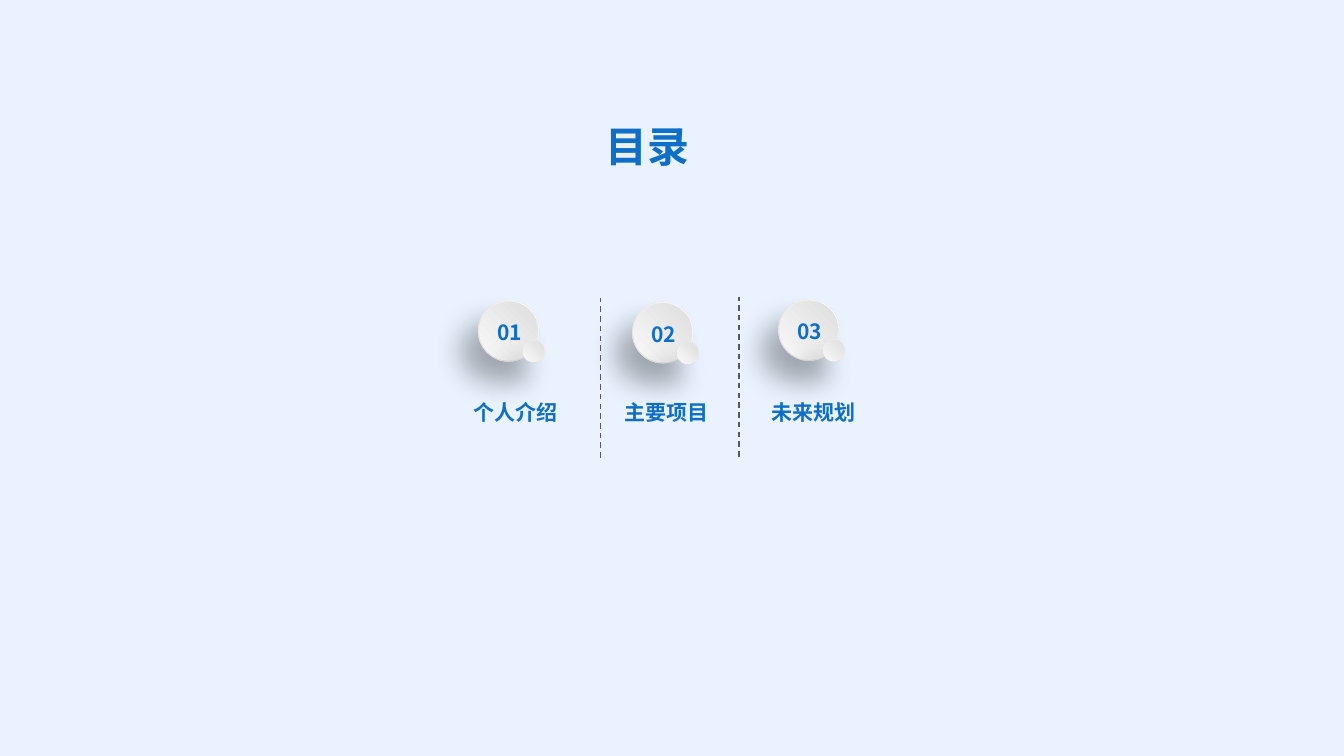
"""Build a contents slide with three numbered badges, on a grid of 160 columns by 90 rows."""
import dataclasses

import pptx
import pptx.dml.color
import pptx.enum.dml
import pptx.enum.shapes
import pptx.enum.text
import pptx.oxml
import pptx.oxml.ns
import pptx.util

COLUMNS, ROWS = 160, 90
FONT = "Noto Sans CJK SC"
BLUE, GREY, PALE = "0F6FC6", "595959", "E9F2FE"
RIM, FACE = ("FFFFFF", "D9D9D9"), ("D9D9D9", "FEFEFE")
NAMESPACE = pptx.oxml.ns.nsdecls("a")
CORNER_GLOW = f'<a:path {NAMESPACE} path="circle"><a:fillToRect l="100000" b="100000"/></a:path>'
SOFT_SHADOW = (
    f'<a:outerShdw {NAMESPACE} blurRad="254000" dist="241300" dir="7800000" rotWithShape="0">'
    '<a:srgbClr val="000000"><a:alpha val="30000"/></a:srgbClr></a:outerShdw>'
)


@dataclasses.dataclass(frozen=True)
class Area:
    """A rectangle in grid columns and rows."""

    column: float
    row: float
    width: float
    height: float

    def lengths(self) -> tuple:
        """Return left, top, width and height for a shape."""
        return grid(self.column), grid(self.row), grid(self.width), grid(self.height)


@dataclasses.dataclass(frozen=True)
class Chapter:
    """One entry of the contents."""

    number: str
    name: str
    column: float
    row: float
    label_column: float
    label_width: float


CHAPTERS = (
    Chapter("01", "个人介绍", 56.9, 35.75, 55.2, 19.4),
    Chapter("02", "主要项目", 75.25, 35.95, 73.2, 13.2),
    Chapter("03", "未来规划", 92.65, 35.65, 90.7, 19.4),
)
DIVIDERS = ((71.5, 54.5), (88, 54.35))


def grid(cells: float) -> int:
    """Convert grid cells to a length."""
    return pptx.util.Inches(cells / 12)


def colour(code: str) -> pptx.dml.color.RGBColor:
    """Convert a hex string to a colour."""
    return pptx.dml.color.RGBColor.from_string(code)


def write(box, text: str, size: int, centred: bool = False) -> None:
    """Put one bold blue line in a box."""
    frame = box.text_frame
    frame.text = text
    frame.word_wrap = True
    frame.auto_size = pptx.enum.text.MSO_AUTO_SIZE.NONE
    frame.vertical_anchor = pptx.enum.text.MSO_ANCHOR.TOP
    para = frame.paragraphs[0]
    alignment = pptx.enum.text.PP_ALIGN
    para.alignment = alignment.CENTER if centred else alignment.LEFT
    font = para.font
    font.size, font.bold, font.name = pptx.util.Pt(size), True, FONT
    font.color.rgb = colour(BLUE)
    properties = para._p.pPr.find(pptx.oxml.ns.qn("a:defRPr"))
    properties.append(pptx.oxml.parse_xml(f'<a:ea {NAMESPACE} typeface="{FONT}"/>'))


def add_text(page, area: Area, text: str) -> None:
    """Add a line of text to the page."""
    write(page.shapes.add_textbox(*area.lengths()), text, 15)


def add_disc(page, column: float, row: float, size: float, shades: tuple, shadow: bool) -> None:
    """Add a tilted disc that is shaded from one corner."""
    area = Area(column, row, size, size)
    disc = page.shapes.add_shape(pptx.enum.shapes.MSO_SHAPE.OVAL, *area.lengths())
    disc.rotation = 29.5
    disc.line.fill.background()
    disc.fill.gradient()
    for stop, shade in zip(disc.fill.gradient_stops, shades):
        stop.color.rgb = colour(shade)
    properties = disc._element.spPr
    linear = properties.find(".//" + pptx.oxml.ns.qn("a:lin"))
    linear.getparent().replace(linear, pptx.oxml.parse_xml(CORNER_GLOW))
    disc.shadow.inherit = False
    if shadow:
        effects = properties.find(pptx.oxml.ns.qn("a:effectLst"))
        effects.append(pptx.oxml.parse_xml(SOFT_SHADOW))


def add_button(page, column: float, row: float, size: float, inset: float) -> None:
    """Add a raised button made of a rim and a face."""
    add_disc(page, column, row, size, RIM, True)
    add_disc(page, column + inset, row + inset, size - 2 * inset, FACE, False)


def add_chapter(page, chapter: Chapter) -> None:
    """Add the badge, number and name of a chapter."""
    column, row = chapter.column, chapter.row
    add_button(page, column, row, 7.3, 0.17)
    add_text(page, Area(column + 1.1, row + 1.7, 5.8, 4.2), chapter.number)
    add_button(page, column + 5.3, row + 4.75, 2.65, 0.06)
    add_text(page, Area(chapter.label_column, 47, chapter.label_width, 4.2), chapter.name)


def add_divider(page, column: float, bottom: float) -> None:
    """Add a dashed vertical line, drawn upwards."""
    straight = pptx.enum.shapes.MSO_CONNECTOR.STRAIGHT
    x = grid(column)
    divider = page.shapes.add_connector(straight, x, grid(bottom), x, grid(bottom - 19))
    divider.line.color.rgb = colour(GREY)
    divider.line.width = pptx.util.Pt(1)
    divider.line.dash_style = pptx.enum.dml.MSO_LINE.DASH
    divider._element.spPr.append(pptx.oxml.parse_xml(f"<a:effectLst {NAMESPACE}/>"))


def main() -> None:
    """Build and save the deck."""
    deck = pptx.Presentation()
    deck.slide_width, deck.slide_height = grid(COLUMNS), grid(ROWS)
    page = deck.slides.add_slide(deck.slide_layouts.get_by_name("Title Only"))
    page.background.fill.solid()
    page.background.fill.fore_color.rgb = colour(PALE)
    title = page.shapes.title
    title.left, title.top, title.width, title.height = Area(36.6, 13.8, 81, 11.3).lengths()
    write(title, "目录", 30, centred=True)
    for chapter in CHAPTERS:
        add_chapter(page, chapter)
    for column, bottom in DIVIDERS:
        add_divider(page, column, bottom)
    deck.save("out.pptx")


if __name__ == "__main__":
    main()
